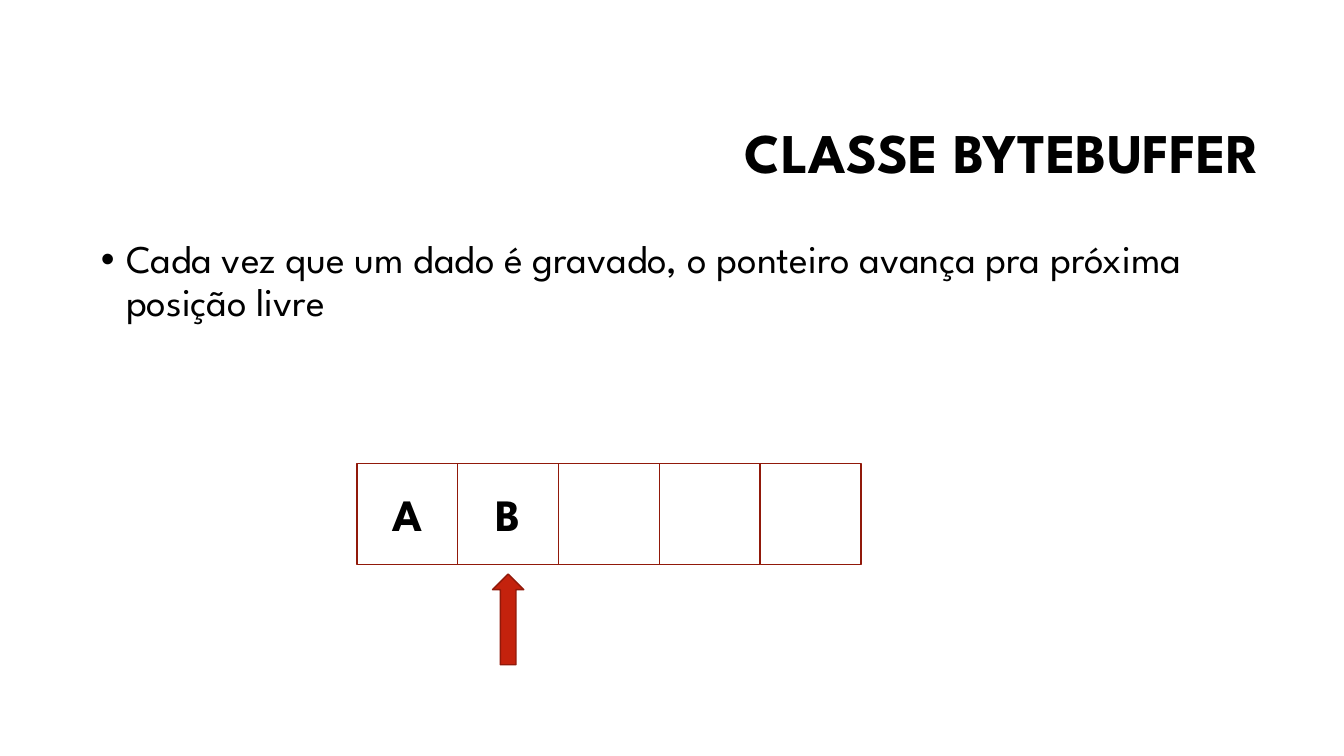
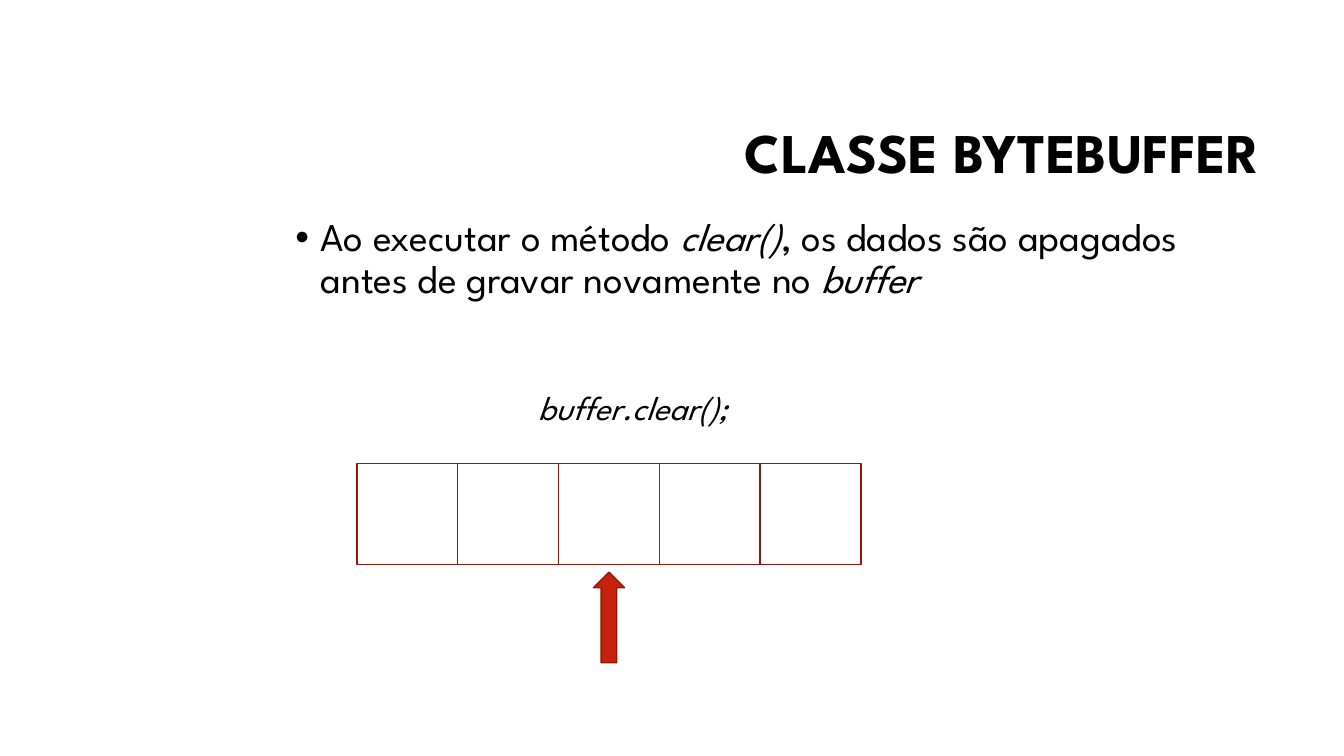
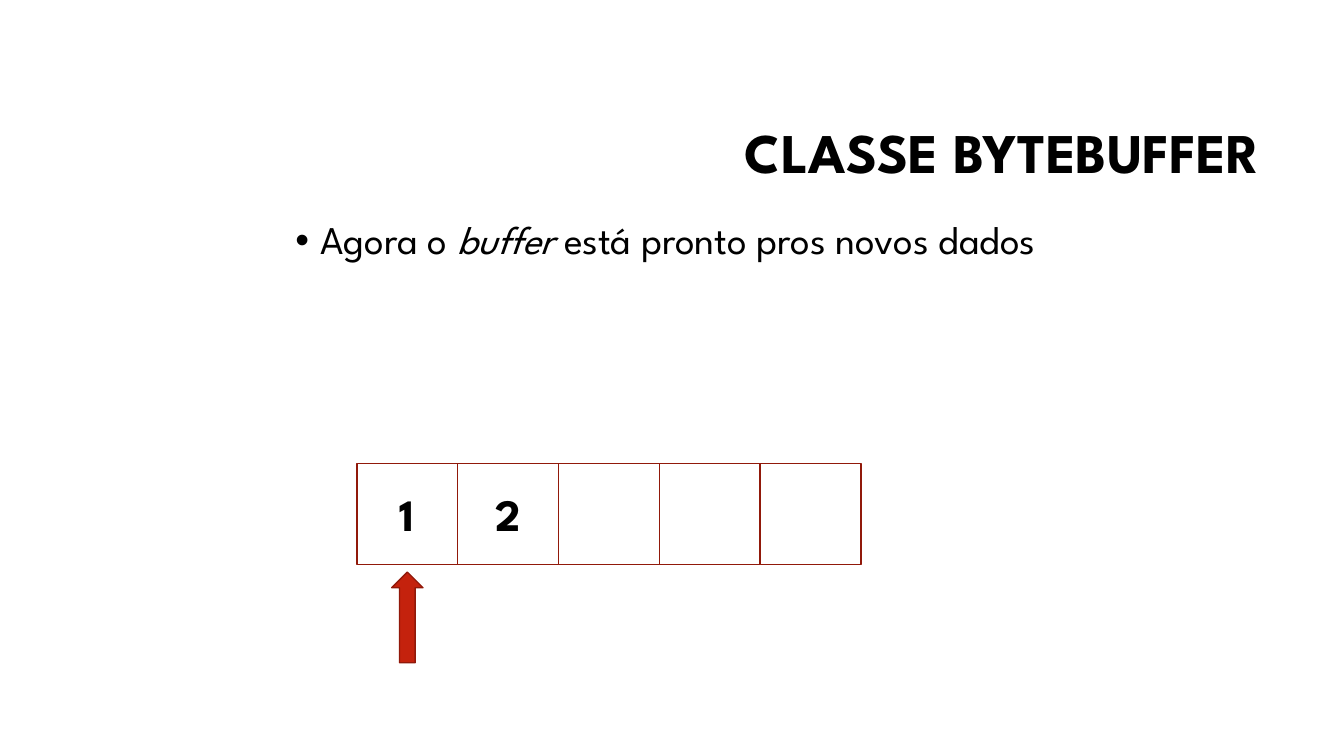
from dataclasses import dataclass
from typing import Any

from lxml import etree
from pptx import Presentation
from pptx import util as u
from pptx.dml.color import RGBColor
from pptx.enum import shapes, text
from pptx.oxml import ns

BLACK = RGBColor(0x00, 0x00, 0x00)
WHITE = RGBColor(0xFF, 0xFF, 0xFF)
RED = RGBColor(0xC4, 0x22, 0x0D)
DARK_RED = RGBColor(0x91, 0x19, 0x0A)
FONT = "League Spartan"

TITLE = "CLASSE BYTEBUFFER"
CELL_COUNT = 5
CELL_SIZE = 1.0
CELLS_LEFT = 3.54
CELLS_TOP = 4.6
POINTER_LENGTH = 0.9
POINTER_THICKNESS = 0.31

TITLE_FONT = {"size": u.Pt(40), "bold": True}
BODY_FONT = {"size": u.Pt(28)}
CELL_FONT = {"size": u.Pt(32), "bold": True}
CODE_FONT = {"size": u.Pt(24), "italic": True}
TITLE_PARAGRAPH = {"alignment": text.PP_ALIGN.RIGHT, "line_spacing": 0.9}
BODY_PARAGRAPH = {"line_spacing": 0.9, "space_before": u.Pt(10)}
CELL_PARAGRAPH = {"alignment": text.PP_ALIGN.CENTER}


@dataclass(frozen=True)
class Box:
    left: float
    top: float
    width: float
    height: float

    def lengths(self) -> tuple[u.Length, ...]:
        return tuple(u.Inches(n) for n in (self.left, self.top, self.width, self.height))


@dataclass(frozen=True)
class Phrase:
    words: str
    italic: bool = False


@dataclass(frozen=True)
class BufferSlide:
    body_box: Box
    body: tuple[Phrase, ...]
    pointer_cell: int
    pointer_top: float = 5.97
    values: tuple[str, ...] = ()
    code: str = ""


TITLE_BOX = Box(3.17, 0.84, 9.42, 1.41)
CODE_BOX = Box(5.24, 3.79, 2.44, 0.5)

SLIDES = (
    BufferSlide(
        Box(0.9, 2.33, 11.68, 1.73),
        (Phrase("Cada vez que um dado é gravado, o ponteiro avança pra próxima posição livre"),),
        pointer_cell=1,
        pointer_top=5.99,
        values=("A", "B"),
    ),
    BufferSlide(
        Box(2.83, 2.11, 9.75, 1),
        (
            Phrase("Ao executar o método "),
            Phrase("clear()", True),
            Phrase(", os dados são apagados antes de gravar novamente no "),
            Phrase("buffer", True),
        ),
        pointer_cell=2,
        code="buffer.clear();",
    ),
    BufferSlide(
        Box(2.83, 2.14, 9.75, 1),
        (
            Phrase("Agora o "),
            Phrase("buffer", True),
            Phrase(" está pronto pros novos dados"),
        ),
        pointer_cell=0,
        values=("1", "2"),
    ),
)


def apply(target: Any, values: dict[str, Any]) -> None:
    for name, value in values.items():
        setattr(target, name, value)


def add_run(paragraph: Any, words: str, font_values: dict[str, Any]) -> None:
    run = paragraph.add_run()
    run.text = words
    apply(run.font, {"name": FONT, **font_values})
    run.font.color.rgb = BLACK


def place(shape: Any, box: Box) -> None:
    apply(shape, dict(zip(("left", "top", "width", "height"), box.lengths())))
    apply(shape.text_frame, {"word_wrap": True, "auto_size": text.MSO_AUTO_SIZE.NONE})


def add_bullet(paragraph: Any) -> None:
    properties = paragraph._p.get_or_add_pPr()
    properties.set("marL", str(u.Inches(0.25)))
    properties.set("indent", str(u.Inches(-0.25)))
    etree.SubElement(properties, ns.qn("a:buFont")).set("typeface", "Arial")
    etree.SubElement(properties, ns.qn("a:buChar")).set("char", "•")


def fill_title(shape: Any) -> None:
    place(shape, TITLE_BOX)
    shape.text_frame.vertical_anchor = text.MSO_ANCHOR.MIDDLE
    paragraph = shape.text_frame.paragraphs[0]
    apply(paragraph, TITLE_PARAGRAPH)
    add_run(paragraph, TITLE, TITLE_FONT)


def fill_body(shape: Any, content: BufferSlide) -> None:
    place(shape, content.body_box)
    paragraph = shape.text_frame.paragraphs[0]
    apply(paragraph, BODY_PARAGRAPH)
    add_bullet(paragraph)
    for phrase in content.body:
        add_run(paragraph, phrase.words, {**BODY_FONT, "italic": phrase.italic})


def add_figure(slide: Any, kind: shapes.MSO_SHAPE, box: Box, color: RGBColor) -> Any:
    shape = slide.shapes.add_shape(kind, *box.lengths())
    shape.shadow.inherit = False
    shape.fill.solid()
    shape.fill.fore_color.rgb = color
    shape.line.color.rgb = DARK_RED
    shape.line.width = u.Pt(1)
    return shape


def add_cells(slide: Any, values: tuple[str, ...]) -> None:
    for index in range(CELL_COUNT):
        box = Box(CELLS_LEFT + index * CELL_SIZE, CELLS_TOP, CELL_SIZE, CELL_SIZE)
        cell = add_figure(slide, shapes.MSO_SHAPE.RECTANGLE, box, WHITE)
        if index < len(values):
            cell.text_frame.vertical_anchor = text.MSO_ANCHOR.MIDDLE
            paragraph = cell.text_frame.paragraphs[0]
            apply(paragraph, CELL_PARAGRAPH)
            add_run(paragraph, values[index], CELL_FONT)


def add_pointer(slide: Any, cell: int, top: float) -> None:
    left = CELLS_LEFT + cell * CELL_SIZE + (CELL_SIZE - POINTER_LENGTH) / 2
    box = Box(left, top, POINTER_LENGTH, POINTER_THICKNESS)
    pointer = add_figure(slide, shapes.MSO_SHAPE.RIGHT_ARROW, box, RED)
    pointer.rotation = 270


def add_code(slide: Any, code: str) -> None:
    shape = slide.shapes.add_textbox(*CODE_BOX.lengths())
    shape.text_frame.word_wrap = True
    add_run(shape.text_frame.paragraphs[0], code, CODE_FONT)


def add_buffer_slide(presentation: Any, content: BufferSlide) -> None:
    slide = presentation.slides.add_slide(presentation.slide_layouts[1])
    fill_title(slide.shapes.title)
    fill_body(slide.placeholders[1], content)
    add_cells(slide, content.values)
    add_pointer(slide, content.pointer_cell, content.pointer_top)
    if content.code:
        add_code(slide, content.code)


def main() -> None:
    presentation = Presentation()
    presentation.slide_width = u.Inches(13.33)
    presentation.slide_height = u.Inches(7.5)
    for content in SLIDES:
        add_buffer_slide(presentation, content)
    presentation.save("out.pptx")


if __name__ == "__main__":
    main()
